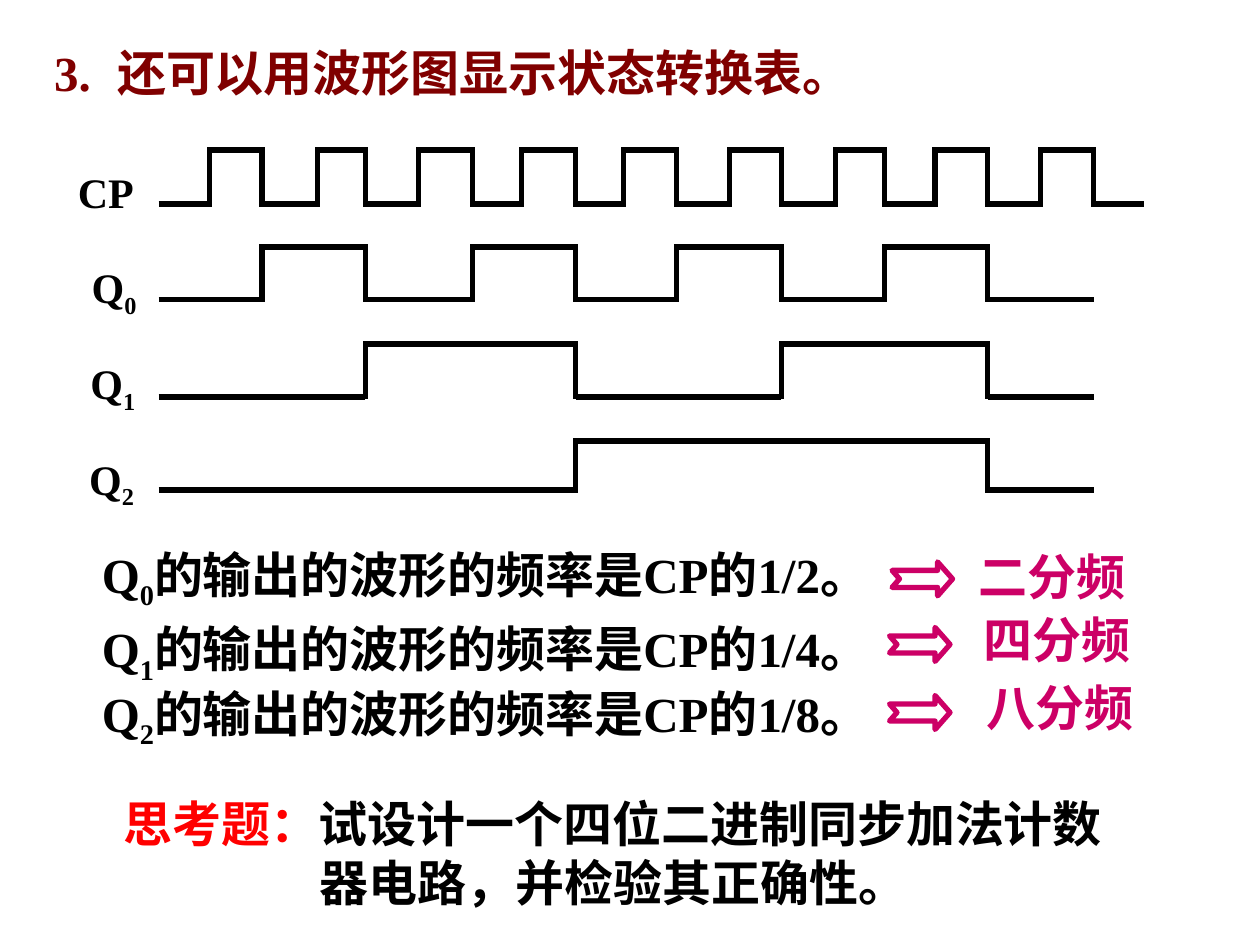
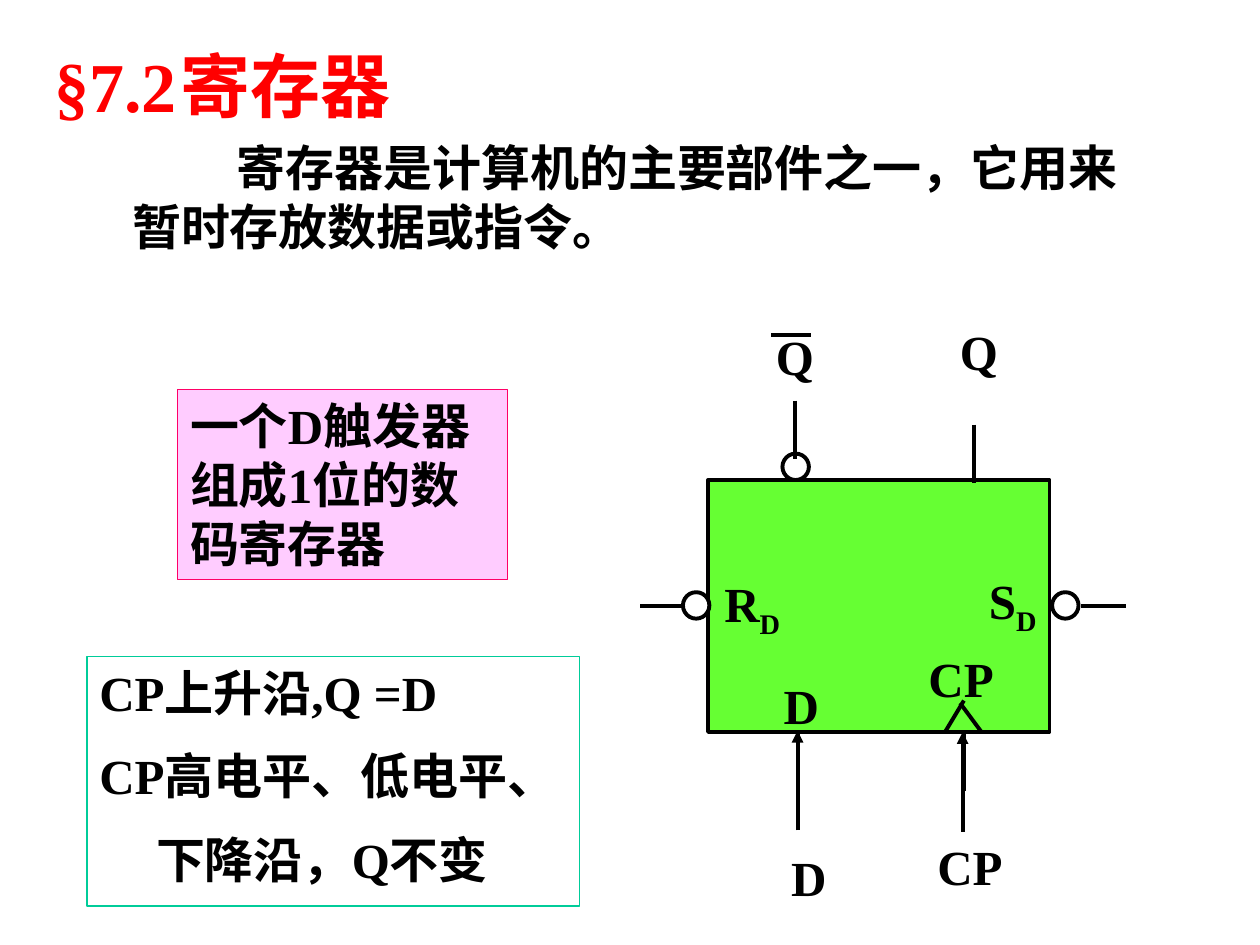
"""Build two slides on counter waveforms and registers."""
from lxml.etree import SubElement
from pptx import Presentation
from pptx.dml.color import RGBColor
from pptx.enum.lang import MSO_LANGUAGE_ID as LANG
from pptx.enum.shapes import MSO_CONNECTOR as CONN, MSO_SHAPE as SHAPE
from pptx.enum.text import MSO_ANCHOR as ANCHOR, MSO_AUTO_SIZE as AUTO, PP_ALIGN as ALIGN
from pptx.oxml.ns import qn
from pptx.util import Inches, Pt

COLORS = {"black": "000000", "white": "FFFFFF", "maroon": "800000", "red": "FF0000",
          "magenta": "CC0066", "pink": "FFCCFF", "rose": "FF0066", "teal": "00CC99",
          "green": "66FF33"}
FONT = "Times New Roman"


def rgb(name):
    """Return the named colour."""
    return RGBColor.from_string(COLORS[name])


def write(tf, text, size=28, color="black", accent=None, left=0, first=0, tab=None,
          before=14, spacing=None):
    """Add a paragraph whose parts between ~ marks are accented or subscript."""
    p = tf.paragraphs[0]
    if p.runs:
        p = tf.add_paragraph()
        p.space_before = Pt(before)
    p.alignment = ALIGN.LEFT
    if spacing:
        p.line_spacing = spacing
    pPr = p._p.get_or_add_pPr()
    pPr.set("marL", str(Inches(left)))
    pPr.set("indent", str(Inches(first)))
    if tab:
        tabs = SubElement(pPr, qn("a:tabLst"))
        SubElement(tabs, qn("a:tab"), pos=str(Inches(tab)), algn="l")
    for i, part in enumerate(text.split("~")):
        if not part:
            continue
        marked = i % 2 == 1
        r = p.add_run()
        r.text = part
        r.font.name, r.font.size, r.font.bold = FONT, Pt(size), True
        r.font.language_id = LANG.SIMPLIFIED_CHINESE
        r.font.color.rgb = rgb(accent if marked and accent else color)
        if marked and not accent:
            r._r.get_or_add_rPr().set("baseline", "-25000")


class Deck:
    """Hold the presentation, its style and the current slide."""

    def __init__(self):
        """Start an empty 10 by 7.5 inch presentation."""
        self.prs = Presentation()
        self.prs.slide_width, self.prs.slide_height = Inches(10), Inches(7.5)
        self.s = None

    def new_slide(self, title, width, height, **fmt):
        """Add a slide with its title at the shared corner."""
        self.s = self.prs.slides.add_slide(self.prs.slide_layouts[5])
        sp = self.s.shapes.title
        sp.left, sp.top, sp.width, sp.height = map(Inches, (0.33, 0.29, width, height))
        tf = sp.text_frame
        tf.word_wrap, tf.auto_size, tf.vertical_anchor = True, AUTO.NONE, ANCHOR.TOP
        write(tf, title, **fmt)

    def text(self, x, y, w, h, text, **fmt):
        """Add a text box and return its frame."""
        tf = self.s.shapes.add_textbox(*map(Inches, (x, y, w, h))).text_frame
        tf.word_wrap = True
        write(tf, text, **fmt)
        return tf

    def shape(self, kind, x, y, w, h, line="black", fill=None, weight=2.25):
        """Add a flat preset shape."""
        sp = self.s.shapes.add_shape(kind, *map(Inches, (x, y, w, h)))
        sp.shadow.inherit = False
        if fill:
            sp.fill.solid()
            sp.fill.fore_color.rgb = rgb(fill)
        else:
            sp.fill.background()
        sp.line.color.rgb, sp.line.width = rgb(line), Pt(weight)
        sp.text_frame.word_wrap = True
        sp.text_frame.vertical_anchor = ANCHOR.TOP
        return sp

    def line(self, x1, y1, x2, y2, weight=2.25, arrow=False):
        """Add a straight black line, with an optional arrowhead at its end."""
        c = self.s.shapes.add_connector(CONN.STRAIGHT, *map(Inches, (x1, y1, x2, y2)))
        c.line.color.rgb, c.line.width = rgb("black"), Pt(weight)
        if arrow:
            SubElement(c.line._get_or_add_ln(), qn("a:tailEnd"), type="triangle")
        SubElement(c._element.spPr, qn("a:effectLst"))

    def wave(self, low, high, start, edges, end):
        """Draw a square wave that starts low and toggles at each edge."""
        stops = [start, *edges, end]
        for i, (x1, x2) in enumerate(zip(stops, stops[1:])):
            y = high if i % 2 else low
            self.line(x1, y, x2, y, weight=3)
        for x in edges:
            self.line(x, high - 0.02, x, low + 0.02, weight=3)


def waveform_slide(deck):
    """Show the counter waveforms and the division ratios."""
    deck.new_slide("3.\t还可以用波形图显示状态转换表。", 8.3, 0.57, color="maroon", tab=0.57)

    cp = [1.66, 2.08, 2.52, 2.9, 3.32, 3.75, 4.14, 4.57, 4.95,
          5.37, 5.79, 6.2, 6.63, 7.02, 7.42, 7.84, 8.26, 8.68]
    q0 = cp[1:-1:2]
    q1 = q0[1::2]
    q2 = q1[1::2]
    for label, x, y, low, high, edges, end in (
            ("CP", 0.52, 1.27, 1.62, 1.19, cp, 9.08),
            ("Q~0~", 0.63, 2.03, 2.38, 1.96, q0, 8.68),
            ("Q~1~", 0.62, 2.79, 3.15, 2.73, q1, 8.68),
            ("Q~2~", 0.61, 3.55, 3.89, 3.5, q2, 8.68)):
        deck.text(x, y, 0.7, 0.5, label, size=24)
        deck.wave(low, high, 1.26, edges, end)

    deck.text(0.88, 6.25, 8.22, 1.03, "~思考题：~试设计一个四位二进制同步加法计数器电路，并检验其正确性。",
              accent="red", left=1.56, first=-1.56)
    tf = deck.text(0.71, 4.27, 6.85, 1.6, "Q~0~的输出的波形的频率是CP的1/2。")
    for i in (1, 2):
        write(tf, f"Q~{i}~的输出的波形的频率是CP的1/{2 ** (i + 1)}。", spacing=0.6)

    for label, x, y, arrow_x, arrow_y in (("二分频", 7.67, 4.29, 7.08, 4.46),
                                          ("四分频", 7.71, 4.79, 7.06, 4.98),
                                          ("八分频", 7.73, 5.33, 7.06, 5.52)):
        sp = deck.shape(SHAPE.NOTCHED_RIGHT_ARROW, arrow_x, arrow_y, 0.48, 0.27,
                        line="magenta", weight=3)
        sp.adjustments[0], sp.adjustments[1] = 0.5, 0.44
        deck.text(x, y, 1.6, 0.57, label, color="magenta")


def register_slide(deck):
    """Introduce the register and its D flip-flop."""
    deck.new_slide("§7.2\t寄存器", 3.47, 0.77, size=40, color="red", tab=1.4)
    deck.text(0.95, 1.04, 8.05, 1.03, "寄存器是计算机的主要部件之一，它用来暂时存放数据或指令。", first=0.83)

    sp = deck.shape(SHAPE.RECTANGLE, 1.41, 3.09, 2.62, 1.51, "rose", "pink", 0.75)
    write(sp.text_frame, "一个D触发器组成1位的数码寄存器")
    sp = deck.shape(SHAPE.RECTANGLE, 0.69, 5.21, 3.91, 1.98, "teal", weight=0.75)
    write(sp.text_frame, "CP上升沿,Q =D")
    write(sp.text_frame, "CP高电平、低电平、")
    write(sp.text_frame, "下降沿，Q不变", left=0.45)

    for x, y in ((6.33, 6.59), (7.64, 6.6)):
        deck.line(x, y, x, y - 0.79, arrow=True)
    deck.shape(SHAPE.RECTANGLE, 5.62, 3.81, 2.71, 2, fill="green")
    for x, y in ((5.42, 4.7), (8.35, 4.7), (6.21, 3.6)):
        deck.shape(SHAPE.OVAL, x, y, 0.21, 0.21, fill="white")
    for ends in ((8.58, 4.81, 8.94, 4.81), (5.08, 4.81, 5.44, 4.81),
                 (6.33, 5.82, 6.33, 6.28), (7.65, 5.82, 7.65, 6.28),
                 (7.5, 5.81, 7.65, 5.56), (7.62, 5.58, 7.79, 5.81),
                 (6.12, 2.66, 6.44, 2.66), (6.31, 3.18, 6.31, 3.64),
                 (7.73, 3.37, 7.73, 3.83)):
        deck.line(*ends)
    for label, x, y in (("R~D~", 5.65, 4.5), ("S~D~", 7.75, 4.48), ("D", 6.12, 5.31),
                        ("CP", 7.27, 5.1), ("Q", 7.52, 2.5), ("Q", 6.06, 2.54),
                        ("D", 6.18, 6.68), ("CP", 7.34, 6.59)):
        deck.text(x, y, 0.85, 0.57, label)


def main():
    """Build and save the slides."""
    deck = Deck()
    waveform_slide(deck)
    register_slide(deck)
    deck.prs.save("out.pptx")


if __name__ == "__main__":
    main()
